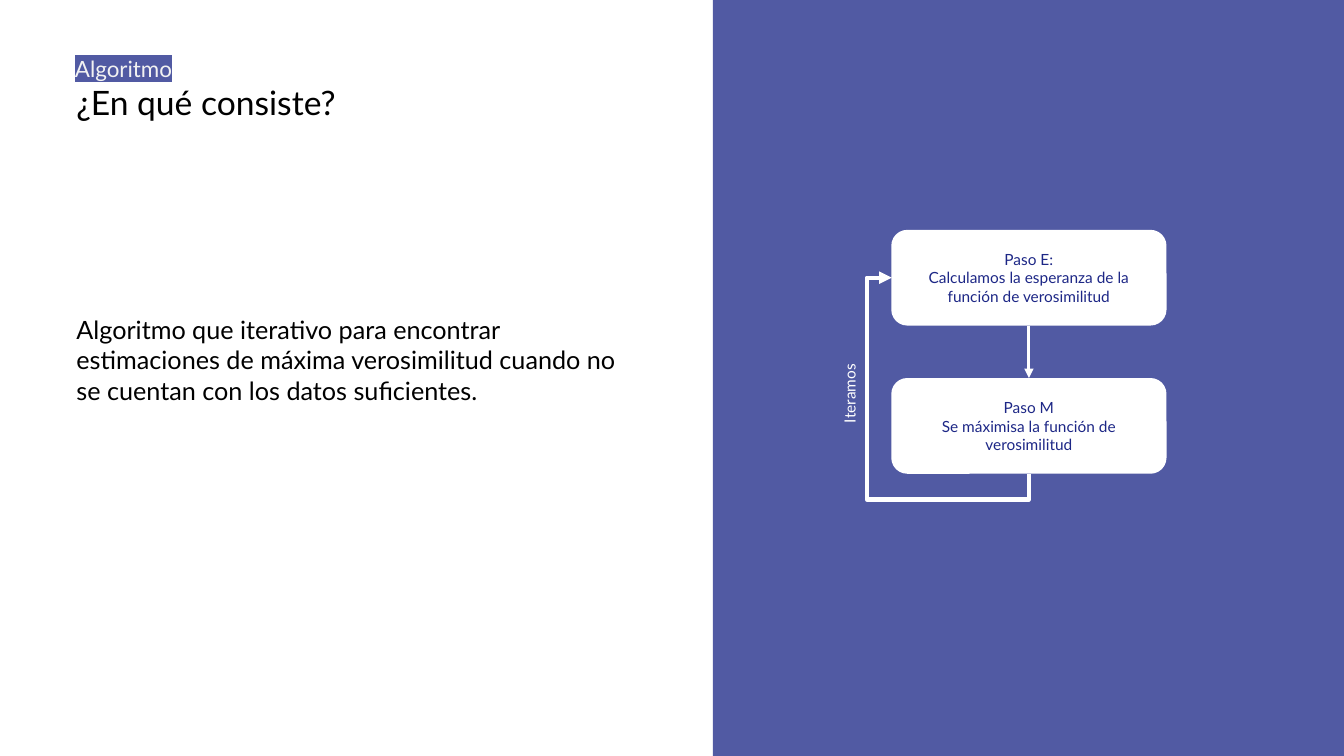
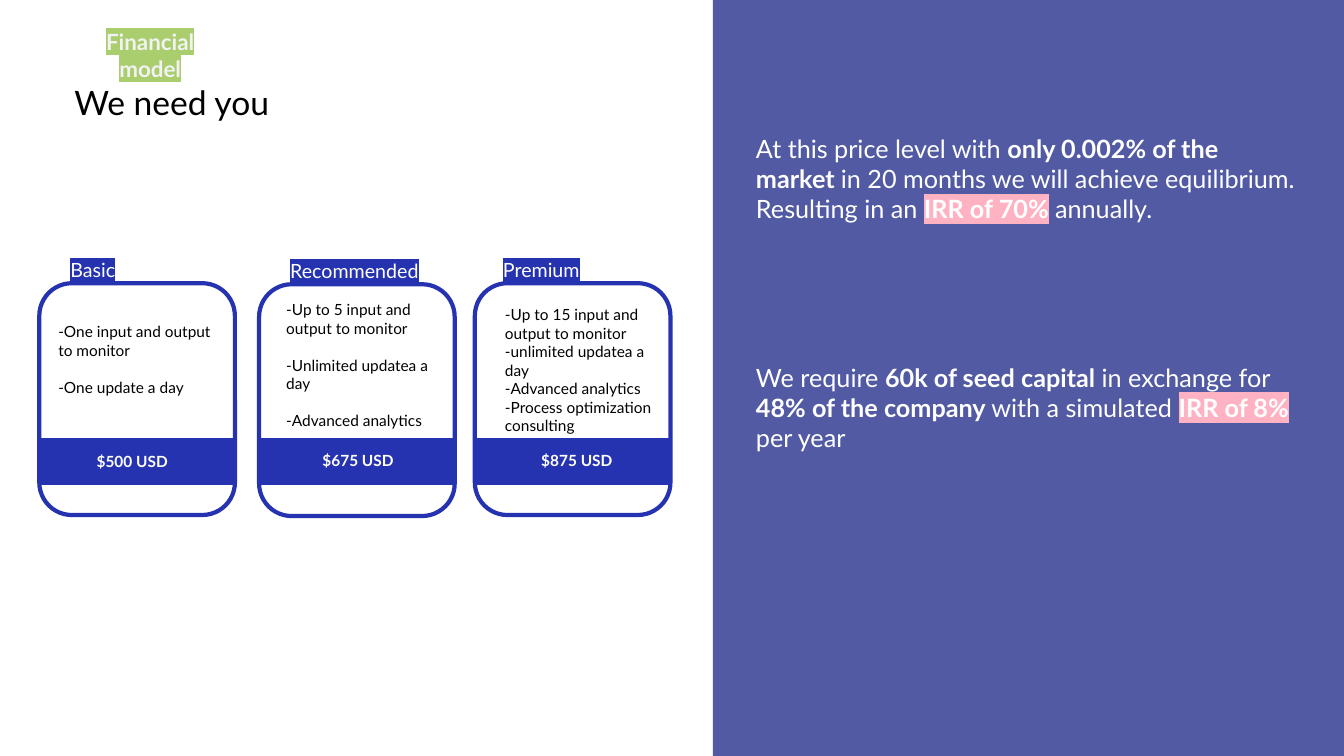
import pptx
import pptx.util
import pptx.dml.color
import pptx.enum.shapes
import pptx.enum.text
import pptx.oxml.ns
import pptx.oxml.xmlchemy
from dataclasses import dataclass

Inches = pptx.util.Inches
SHAPES = pptx.enum.shapes.MSO_SHAPE
CONNECTORS = pptx.enum.shapes.MSO_CONNECTOR
ALIGN = pptx.enum.text.PP_ALIGN
ANCHOR = pptx.enum.text.MSO_ANCHOR


@dataclass(frozen=True)
class Theme:
    font: str = "Lato"
    white: str = "FFFFFF"
    black: str = "000000"
    panel: str = "515AA3"
    tag_text: str = "F2F2F2"
    step_text: str = "1D2786"
    plan: str = "2633B0"
    green: str = "AACD6D"
    pink: str = "FFB3C2"
    title_size: int = 24
    body_size: int = 18
    tag_size: int = 16
    plan_size: int = 14
    small_size: int = 11


THEME = Theme()

ALGORITHM = {
    "title": ("¿En qué consiste?", (0.66, 0.76, 4.68, 0.5)),
    "tag": ("Algoritmo", (0.5, 0.49, 1.45, 0.37), THEME.panel, False),
}
DEFINITION = (
    "Algoritmo que iterativo para encontrar estimaciones de máxima "
    "verosimilitud cuando no se cuentan con los datos suficientes."
)
STEPS = [
    ["Paso E:", "Calculamos la esperanza de la función de verosimilitud"],
    ["Paso M", "Se máximisa la función de verosimilitud"],
]
LOOP_LABEL = "Iteramos"

FINANCE = {
    "title": ("We need you", (0.64, 0.76, 6.26, 0.5)),
    "tag": ("Financial model", (0.64, 0.49, 1.7, 0.37), THEME.green, True),
}
PLANS = [
    {
        "name": "Basic", "name_at": (0.6, 2.51),
        "card_at": (0.39, 2.81), "band_left": 0.41,
        "price": "$500 USD", "price_at": (0.86, 4.44),
        "features": ["-One input and output to monitor", "-One update a day"],
        "features_at": (0.48, 3.15), "features_height": 0.84, "gap": 13.2,
    },
    {
        "name": "Recommended", "name_at": (2.78, 2.52),
        "card_at": (2.57, 2.82), "band_left": 2.58,
        "price": "$675 USD", "price_at": (3.1, 4.43),
        "features": ["-Up to 5 input and output to monitor",
                     "-Unlimited updatea a day", "-Advanced analytics"],
        "features_at": (2.74, 2.93), "features_height": 1.4, "gap": 13.2,
    },
    {
        "name": "Premium", "name_at": (4.89, 2.51),
        "card_at": (4.71, 2.81), "band_left": 4.72,
        "price": "$875 USD", "price_at": (5.27, 4.43),
        "features": ["-Up to 15 input and output to monitor",
                     "-unlimited updatea a day", "-Advanced analytics",
                     "-Process optimization consulting"],
        "features_at": (4.91, 2.98), "features_height": 1.4, "gap": 0,
    },
]
CLAIMS = [
    (1.27, [
        ("At this price level with ", "plain"),
        ("only 0.002% of the market ", "bold"),
        ("in 20 months we will achieve equilibrium. Resulting in an ", "plain"),
        ("IRR of 70%", "marked"),
        (" annually.", "plain"),
    ]),
    (3.54, [
        ("We require ", "plain"),
        ("60k of seed capital", "bold"),
        (" in exchange for ", "plain"),
        ("48% of the company ", "bold"),
        ("with a simulated ", "plain"),
        ("IRR of 8%", "marked"),
        (" per year", "plain"),
    ]),
]


def rgb(color):
    return pptx.dml.color.RGBColor.from_string(color)


def element(tag, parent, **attributes):
    child = pptx.oxml.xmlchemy.OxmlElement(tag)
    for name, value in attributes.items():
        child.set(name, value)
    parent.append(child)
    return child


def style_run(run, size, color, bold=False, highlight=None):
    run.font.size = pptx.util.Pt(size)
    run.font.bold = bold
    run.font.color.rgb = rgb(color)
    if highlight:
        mark = pptx.oxml.xmlchemy.OxmlElement("a:highlight")
        element("a:srgbClr", mark, val=highlight)
        run._r.rPr.find(pptx.oxml.ns.qn("a:solidFill")).addnext(mark)
    run.font.name = THEME.font


def write(frame, lines, size, color, bold=False, highlight=None, align=ALIGN.LEFT, gap=0):
    frame.text = "\n".join(lines)
    for index, paragraph in enumerate(frame.paragraphs):
        paragraph.alignment = align
        if index and gap:
            paragraph.space_before = pptx.util.Pt(gap)
        for run in paragraph.runs:
            style_run(run, size, color, bold, highlight)


def add_text(slide, box, lines, size, color, anchor=ANCHOR.TOP, wrap=True, **style):
    shape = slide.shapes.add_textbox(*map(Inches, box))
    shape.text_frame.word_wrap = wrap
    shape.text_frame.vertical_anchor = anchor
    write(shape.text_frame, lines, size, color, **style)
    return shape


def add_box(slide, kind, box, fill=None, line=None, width=0):
    shape = slide.shapes.add_shape(kind, *map(Inches, box))
    shape.shadow.inherit = False
    if fill:
        shape.fill.solid()
        shape.fill.fore_color.rgb = rgb(fill)
    else:
        shape.fill.background()
    if line:
        shape.line.color.rgb = rgb(line)
        shape.line.width = pptx.util.Pt(width)
    else:
        shape.line.fill.background()
    return shape


def add_arrow(slide, kind, start, end, width):
    arrow = slide.shapes.add_connector(kind, *map(Inches, (*start, *end)))
    arrow.line.color.rgb = rgb(THEME.white)
    arrow.line.width = pptx.util.Pt(width)
    properties = arrow._element.spPr
    element("a:tailEnd", properties.find(pptx.oxml.ns.qn("a:ln")), type="triangle")
    element("a:effectLst", properties)
    return arrow


def add_base(presentation, content):
    slide = presentation.slides.add_slide(presentation.slide_layouts[6])
    add_box(slide, SHAPES.RECTANGLE, (7.07, 0, 6.26, 7.5), THEME.panel)
    title, title_box = content["title"]
    add_text(slide, title_box, [title], THEME.title_size, THEME.black)
    tag, tag_box, highlight, bold = content["tag"]
    add_text(slide, tag_box, [tag], THEME.tag_size, THEME.tag_text,
             anchor=ANCHOR.BOTTOM, align=ALIGN.CENTER, bold=bold, highlight=highlight)
    return slide


def add_loop_arrow(slide):
    arrow = add_arrow(slide, CONNECTORS.ELBOW, (10.5, 3.05), (8.55, 4.41), 3)
    properties = arrow._element.spPr
    properties.find(pptx.oxml.ns.qn("a:xfrm")).set("rot", "5400000")
    geometry = properties.find(pptx.oxml.ns.qn("a:prstGeom"))
    geometry.set("prst", "bentConnector4")
    for child in list(geometry):
        geometry.remove(child)
    guides = element("a:avLst", geometry)
    for name, value in (("adj1", -12800), ("adj2", 118300)):
        element("a:gd", guides, name=name, fmla=f"val {value}")


def build_algorithm(presentation):
    slide = add_base(presentation, ALGORITHM)
    add_text(slide, (0.66, 3.07, 5.6, 1.01), [DEFINITION], THEME.body_size, THEME.black)
    boxes = []
    for index, lines in enumerate(STEPS):
        step = add_box(slide, SHAPES.ROUNDED_RECTANGLE,
                       (8.84, 2.28 + 1.47 * index, 2.73, 0.95), THEME.white)
        step.text_frame.word_wrap = True
        step.text_frame.vertical_anchor = ANCHOR.MIDDLE
        write(step.text_frame, lines, THEME.small_size, THEME.step_text, align=ALIGN.CENTER)
        boxes.append(step)
    down = add_arrow(slide, CONNECTORS.STRAIGHT, (10.2, 3.23), (10.2, 3.75), 2.25)
    down.begin_connect(boxes[0], 2)
    down.end_connect(boxes[1], 0)
    add_loop_arrow(slide)
    label = add_text(slide, (8.03, 3.75, 0.8, 0.29), [LOOP_LABEL],
                     THEME.small_size, THEME.white, wrap=False)
    label.rotation = 270


def add_plan(slide, plan):
    add_box(slide, SHAPES.ROUNDED_RECTANGLE, (*plan["card_at"], 1.94, 2.3),
            line=THEME.plan, width=3)
    add_text(slide, (*plan["name_at"], 2.16, 0.34), [plan["name"]],
             THEME.plan_size, THEME.white, highlight=THEME.plan)
    add_box(slide, SHAPES.RECTANGLE, (plan["band_left"], 4.36, 1.93, 0.44),
            THEME.plan, THEME.plan, 1.5)
    add_text(slide, (*plan["price_at"], 0.97, 0.29), [plan["price"]],
             THEME.small_size, THEME.white, bold=True)
    add_text(slide, (*plan["features_at"], 1.77, plan["features_height"]),
             plan["features"], THEME.small_size, THEME.black, gap=plan["gap"])


def build_finance(presentation):
    slide = add_base(presentation, FINANCE)
    for plan in PLANS:
        add_plan(slide, plan)
    for top, pieces in CLAIMS:
        claim = add_text(slide, (7.4, top, 5.6, 1.01), [], THEME.body_size, THEME.white)
        paragraph = claim.text_frame.paragraphs[0]
        for text, emphasis in pieces:
            run = paragraph.add_run()
            run.text = text
            style_run(run, THEME.body_size, THEME.white, emphasis != "plain",
                      THEME.pink if emphasis == "marked" else None)


def main():
    presentation = pptx.Presentation()
    presentation.slide_width = Inches(13.33)
    presentation.slide_height = Inches(7.5)
    build_algorithm(presentation)
    build_finance(presentation)
    presentation.save("out.pptx")


if __name__ == "__main__":
    main()
